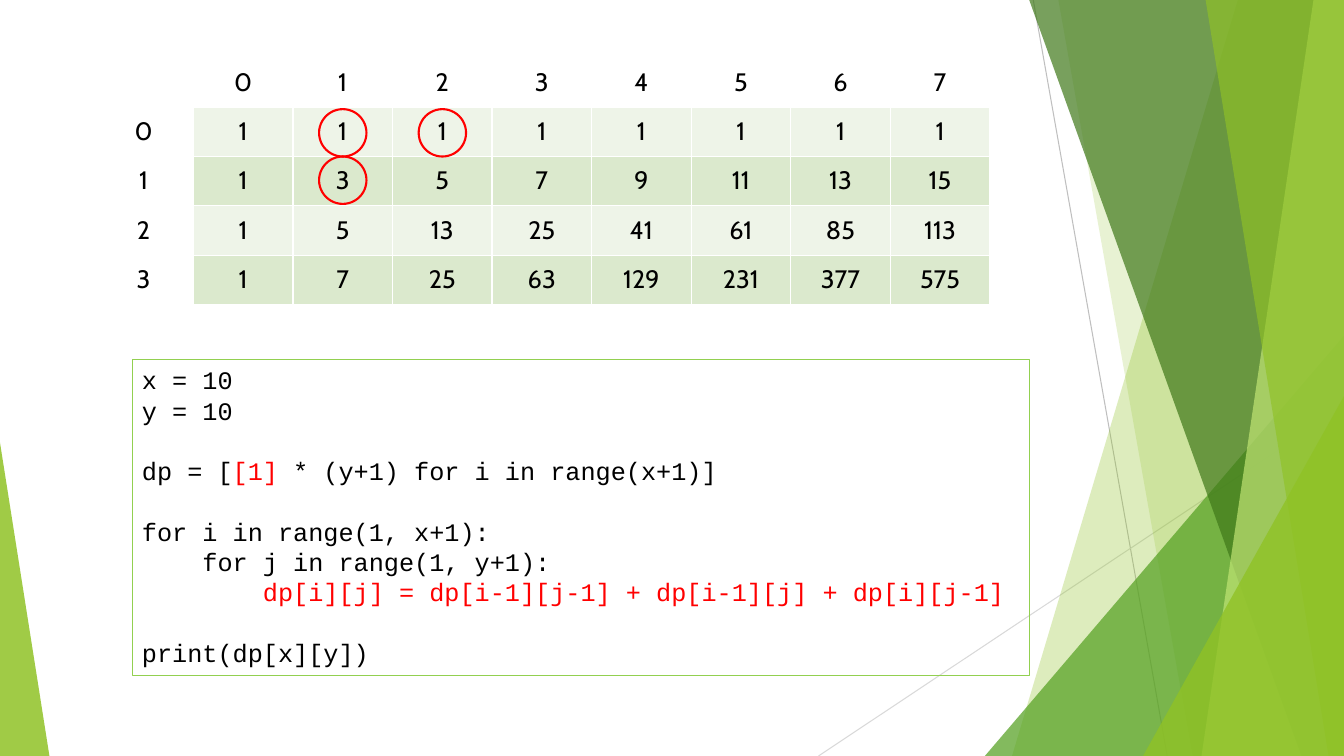
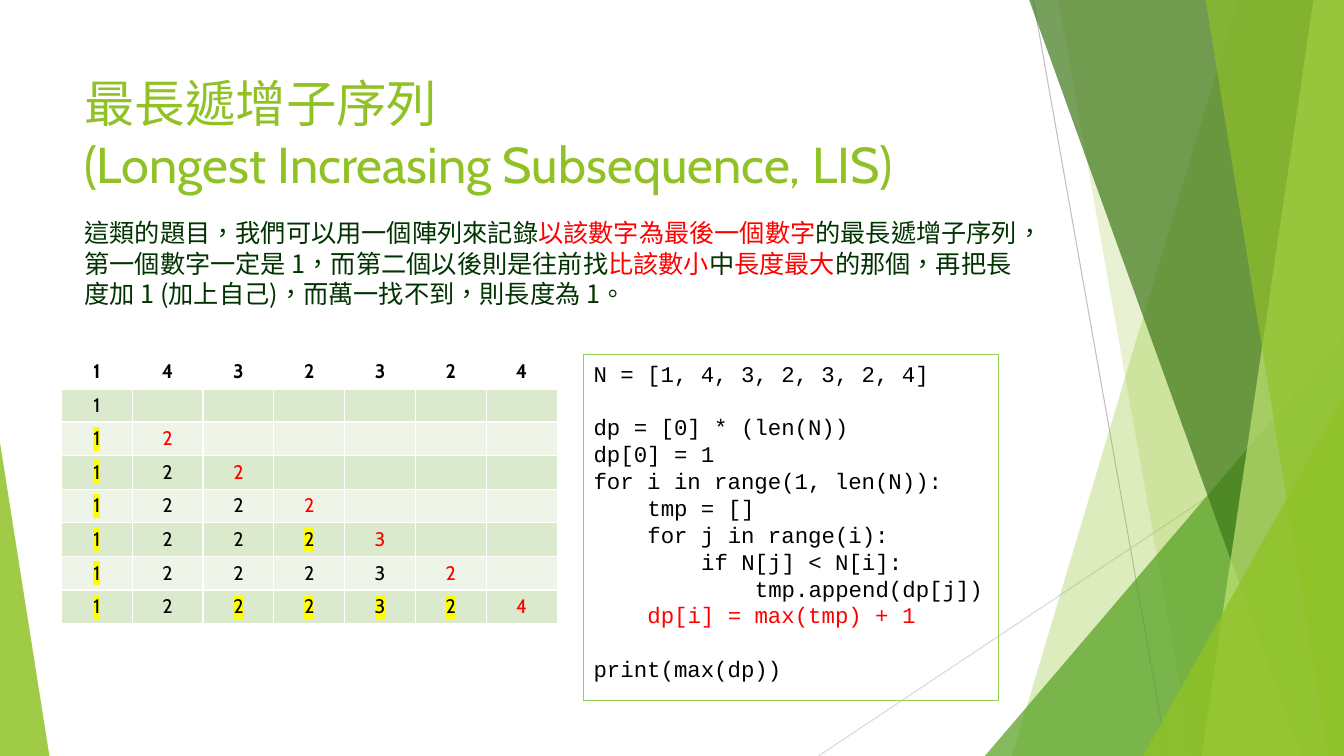
from lxml.etree import SubElement
from pptx import Presentation
from pptx.dml.color import RGBColor
from pptx.enum.shapes import MSO_CONNECTOR, MSO_SHAPE
from pptx.enum.text import MSO_ANCHOR, PP_ALIGN
from pptx.oxml.ns import qn
from pptx.util import Inches, Pt

# The slide is a grid of 100 columns by 100 rows.
W, H = Inches(13.33), Inches(7.5)
COL, ROW = W / 100, H / 100
UNITS = (COL, ROW, COL, ROW)

GREEN, LEAF, FOREST, LIME = "90C226", "54A021", "3F7819", "C0E474"
BOX_LINE, BAND_LIGHT, BAND_DARK = "92D050", "EEF4E8", "DBE9CD"
BLACK, WHITE, RED, YELLOW, INK = "000000", "FFFFFF", "FF0000", "FFFF00", "003300"
SANS, MONO, CJK = "Cabin", "Courier New", "Noto Sans CJK SC"
LINE_HEIGHT = 1.2
CHAR_WIDTH = 0.6


def paint(fill, color, alpha=None):
    """Fill with a hex colour and an opacity in percent; None clears the fill."""
    if color is None:
        fill.background()
        return
    fill.solid()
    fill.fore_color.rgb = RGBColor.from_string(color)
    if alpha:
        srgb = fill._xPr.find(qn("a:solidFill"))[0]
        SubElement(srgb, qn("a:alpha"), val=str(alpha * 1000))


def write(p, text, size=18, font=SANS, color=BLACK, bold=False, mark=None,
          align=PP_ALIGN.LEFT):
    """Add text to a paragraph; parts between bars are red."""
    p.alignment = align
    p.line_spacing = Pt(size * LINE_HEIGHT)
    for n, part in enumerate(text.split("|")):
        if not part:
            continue
        r = p.add_run()
        r.text = part
        r.font.size, r.font.bold = Pt(size), bold
        paint(r.font.fill, RED if n % 2 else color)
        rPr = r._r.get_or_add_rPr()
        rPr.set("lang", "zh-TW")
        if mark:
            SubElement(SubElement(rPr, qn("a:highlight")), qn("a:srgbClr"), val=mark)
        r.font.name = font
        SubElement(rPr, qn("a:ea"), typeface=CJK)


prs = Presentation()
prs.slide_width, prs.slide_height = W, H
paths_slide, lis_slide = slides = [
    prs.slides.add_slide(prs.slide_layouts[6]) for _ in range(2)]

# Shared backdrop. Rays: start and end point, colour.
rays = [(76.88, 0, 86.85, 100, "BFBFBF"), (100, 53.73, 60.9, 100, "D9D9D9")]
# Blades: x at the top, x at the foot. Triangles: left, top, width, apex.
panes = [
    ((92.1, 75.3), GREEN, 30),
    ((78.75, 88.73), GREEN, 20),
    ((73.28, 44.4, 26.72, 1), LEAF, 72),
    ((76.58, 96.83), FOREST, 70),
    ((97.73, 89.4), LIME, 70),
    ((89.7, 98.85), GREEN, 65),
    ((85.05, 52.4, 14.95, 1), GREEN, 80),
    ((0, 58.53, 3.68, 0), GREEN, 85),
]
for slide in slides:
    paint(slide.background.fill, WHITE)
    for *ends, color in rays:
        ray = slide.shapes.add_connector(
            MSO_CONNECTOR.STRAIGHT, *[int(v * u) for v, u in zip(ends, UNITS)])
        paint(ray.line.fill, color)
        ray.line.width = Pt(0.75)
        SubElement(ray._element.spPr, qn("a:effectLst"))
    for outline, color, alpha in panes:
        if len(outline) == 2:
            head, foot = (int(x * COL) for x in outline)
            pen = slide.shapes.build_freeform(head, 0)
            pen.add_line_segments([(W, 0), (W, H), (foot, H)], close=True)
            sp = pen.convert_to_shape()
        else:
            left, top, width, apex = outline
            box = (left, top, width, 100 - top)
            sp = slide.shapes.add_shape(
                MSO_SHAPE.ISOSCELES_TRIANGLE,
                *[int(v * u) for v, u in zip(box, UNITS)])
            sp.adjustments[0] = apex
        sp.shadow.inherit = False
        paint(sp.fill, color, alpha)
        paint(sp.line.fill, None)

# Lattice path counts, with row and column numbers around them.
counts = [[1] * 8 for _ in range(4)]
for i in range(1, 4):
    for j in range(1, 8):
        counts[i][j] = counts[i - 1][j - 1] + counts[i - 1][j] + counts[i][j - 1]
path_cells = [[("", {})] + [(str(j), {}) for j in range(8)]]
path_cells += [[(str(v), {}) for v in [i, *row]] for i, row in enumerate(counts)]

# Growth of the LIS lengths: the new one is red, the smaller numbers are marked.
numbers = [1, 4, 3, 2, 3, 2, 4]
lengths = [1, 2, 2, 2, 3, 2, 4]
lis_cells = [[(str(n), {"bold": True}) for n in numbers]]
for i, last in enumerate(numbers):
    lis_cells.append([
        (str(lengths[j]) if j <= i else "",
         {"color": RED if j == i > 0 else BLACK,
          "mark": YELLOW if j < i and n < last else None})
        for j, n in enumerate(numbers)])

path_grid = (6.98, 7.65, 7.41, 6.53)
lis_grid = (4.57, 46.93, 5.27, 4.45)
tables = [
    (paths_slide, path_grid, path_cells, 18, 1, (BAND_LIGHT, BAND_DARK), 1),
    (lis_slide, lis_grid, lis_cells, 14, 0, (BAND_DARK, BAND_LIGHT), 3),
]
for slide, (x, y, cw, rh), cells, size, label_cols, bands, rule in tables:
    box = (x, y, cw * len(cells[0]), rh * len(cells))
    tbl = slide.shapes.add_table(
        len(cells), len(cells[0]),
        *[int(v * u) for v, u in zip(box, UNITS)]).table
    tbl.first_row = tbl.horz_banding = False
    for i, row in enumerate(cells):
        tbl.rows[i].height = int(rh * ROW)
        for j, (text, fmt) in enumerate(row):
            cell = tbl.cell(i, j)
            cell.margin_top = cell.margin_bottom = 0
            cell.vertical_anchor = MSO_ANCHOR.MIDDLE
            tcPr = cell._tc.get_or_add_tcPr()
            for side in "LRTB":
                width = rule if (i, side) in ((0, "B"), (1, "T")) else 1
                ln = SubElement(tcPr, qn(f"a:ln{side}"), w=str(Pt(width)))
                SubElement(SubElement(ln, qn("a:solidFill")), qn("a:srgbClr"), val=WHITE)
            banded = i > 0 and j >= label_cols
            paint(cell.fill, bands[(i - 1) % 2] if banded else None)
            write(cell.text_frame.paragraphs[0], text, size=size,
                  align=PP_ALIGN.CENTER, **fmt)

# Circles around the terms of one sum; they meet on the line below row 1.
x, y, cw, rh = path_grid
ring = Inches(0.47)
for i, j in [(1, 1), (1, 2), (2, 1)]:
    sp = paths_slide.shapes.add_shape(
        MSO_SHAPE.OVAL, int((x + (j + 1.5) * cw) * COL - ring / 2),
        int((y + 2 * rh) * ROW + (i - 2) * ring), ring, ring)
    sp.shadow.inherit = False
    paint(sp.fill, None)
    paint(sp.line.fill, RED)
    sp.line.width = Pt(1.5)

path_code = """\
x = 10
y = 10

dp = [|[1]| * (y+1) for i in range(x+1)]

for i in range(1, x+1):
    for j in range(1, y+1):
        |dp[i][j] = dp[i-1][j-1] + dp[i-1][j] + dp[i][j-1]|

print(dp[x][y])"""
lis_code = """\
N = [1, 4, 3, 2, 3, 2, 4]

dp = [0] * (len(N))
dp[0] = 1
for i in range(1, len(N)):
    tmp = []
    for j in range(i):
        if N[j] < N[i]:
            tmp.append(dp[j])
    |dp[i] = max(tmp) + 1|

print(max(dp))"""
title = "最長遞增子序列\n(Longest Increasing Subsequence, LIS)"
body = ("這類的題目，我們可以用一個陣列來記錄|以該數字為最後一個數字|的最長遞增子序列，"
        "第一個數字一定是 1，而第二個以後則是往前找|比該數小|中|長度最大|的那個，"
        "再把長度加 1 (加上自己)，而萬一找不到，則長度為 1。")
texts = [
    (paths_slide, (9.83, 47.6, 66.75, 41.73), path_code, 18, MONO, BLACK, BOX_LINE),
    (lis_slide, (5.55, 8.93, 70.5, 19.2), title, 36, SANS, GREEN, None),
    (lis_slide, (5.55, 28.13, 71.78, 13.47), body, 18, CJK, INK, None),
    (lis_slide, (43.43, 46.93, 30.9, 45.73), lis_code, 16, MONO, BLACK, BOX_LINE),
]
for slide, box, text, size, font, color, outline in texts:
    at = [int(v * u) for v, u in zip(box, UNITS)]
    if outline:
        sp = slide.shapes.add_shape(MSO_SHAPE.RECTANGLE, *at)
        sp.shadow.inherit = False
        paint(sp.fill, None)
        paint(sp.line.fill, outline)
        sp.line.width = Pt(0.75)
    else:
        sp = slide.shapes.add_textbox(*at)
    tf = sp.text_frame
    tf.word_wrap, tf.vertical_anchor = True, MSO_ANCHOR.TOP
    p, gap = tf.paragraphs[0], 0
    for n, line in enumerate(text.split("\n")):
        if not line:
            gap = size * LINE_HEIGHT
            continue
        if n:
            p = tf.add_paragraph()
        words = line.lstrip()
        indent = Pt((len(line) - len(words)) * CHAR_WIDTH * size)
        p._p.get_or_add_pPr().set("marL", str(indent))
        p.space_before, gap = Pt(gap), 0
        write(p, words, size=size, font=font, color=color)

prs.save("out.pptx")
